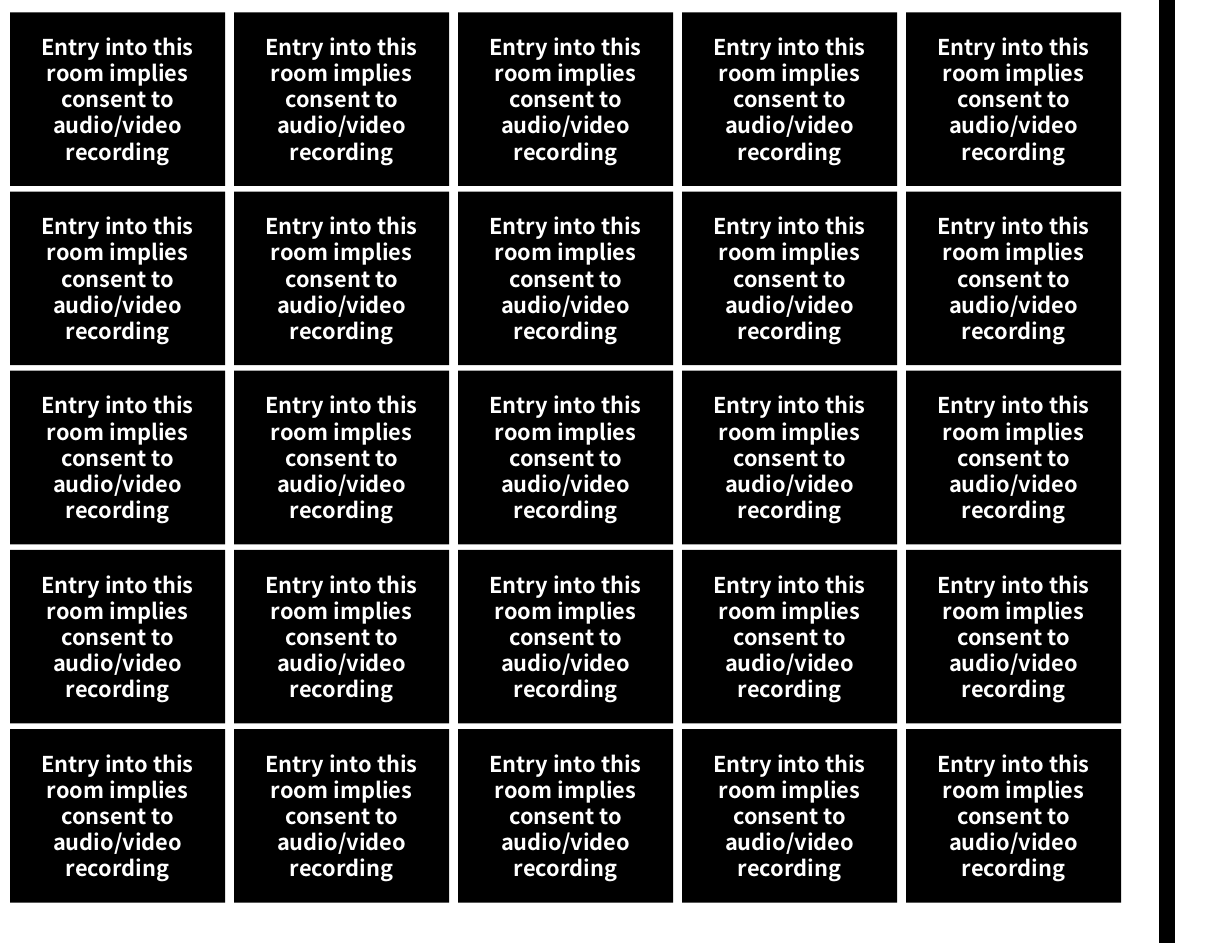
from itertools import product

from lxml.etree import SubElement
from pptx import Presentation
from pptx.dml.color import RGBColor
from pptx.enum.shapes import MSO_CONNECTOR, MSO_SHAPE
from pptx.enum.text import MSO_ANCHOR, PP_ALIGN
from pptx.oxml.ns import qn
from pptx.util import Inches, Pt

# Content
NOTICE = "Entry into this room implies consent to audio/video recording"
COLUMNS, ROWS = 5, 5

# Style and grid, in inches
BLACK = RGBColor(0x00, 0x00, 0x00)
WHITE = RGBColor(0xFF, 0xFF, 0xFF)
FONT = "Noto Sans CJK TC"
LEFT, TOP = 0.09, 0.11
LABEL_WIDTH, LABEL_HEIGHT = 1.92, 1.55
COLUMN_PITCH, ROW_PITCH = 2.0, 1.6
RULE_X, RULE_BOTTOM = 10.42, 8.42


def add_label(slide, column, row):
    label = slide.shapes.add_shape(
        MSO_SHAPE.RECTANGLE,
        Inches(LEFT + column * COLUMN_PITCH), Inches(TOP + row * ROW_PITCH),
        Inches(LABEL_WIDTH), Inches(LABEL_HEIGHT))
    label.shadow.inherit = False
    label.fill.solid()
    label.fill.fore_color.rgb = BLACK
    label.line.fill.background()

    frame = label.text_frame
    frame.word_wrap = True
    frame.vertical_anchor = MSO_ANCHOR.MIDDLE
    notice = frame.paragraphs[0]
    notice.text = NOTICE
    notice.alignment = PP_ALIGN.CENTER
    notice.line_spacing = Pt(16.8)
    notice.font.name = FONT
    notice.font.size = Pt(14)
    notice.font.bold = True
    notice.font.color.rgb = WHITE


def add_rule(slide):
    rule = slide.shapes.add_connector(
        MSO_CONNECTOR.STRAIGHT,
        Inches(RULE_X), Inches(0), Inches(RULE_X), Inches(RULE_BOTTOM))
    rule.line.color.rgb = BLACK
    rule.line.width = Pt(9.75)
    SubElement(rule._element.spPr, qn("a:effectLst"))


def main():
    deck = Presentation()
    deck.slide_width, deck.slide_height = Inches(11), Inches(8.5)
    slide = deck.slides.add_slide(deck.slide_layouts[6])

    # Sheet of labels, column by column
    for column, row in product(range(COLUMNS), range(ROWS)):
        add_label(slide, column, row)

    # Rule along the right edge
    add_rule(slide)
    deck.save("out.pptx")


if __name__ == "__main__":
    main()
